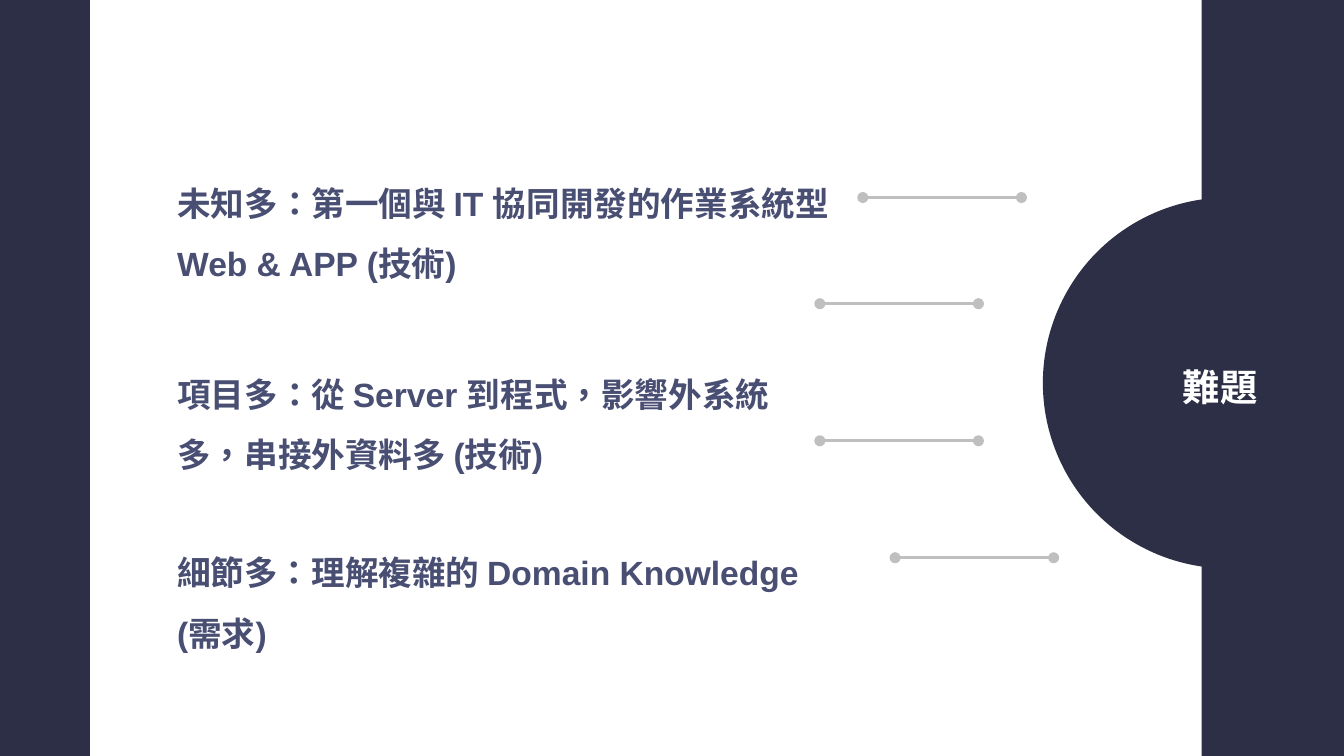
from pptx import Presentation
from pptx.dml.color import RGBColor
from pptx.enum.lang import MSO_LANGUAGE_ID
from pptx.enum.shapes import MSO_CONNECTOR, MSO_SHAPE
from pptx.enum.text import MSO_ANCHOR, MSO_AUTO_SIZE, PP_ALIGN
from pptx.oxml.ns import qn
from pptx.util import Inches, Pt
from lxml.etree import SubElement

NAVY = RGBColor(0x2C, 0x2F, 0x45)
INDIGO = RGBColor(0x49, 0x4E, 0x73)
GREY = RGBColor(0xBF, 0xBF, 0xBF)
WHITE = RGBColor(0xFF, 0xFF, 0xFF)

SLIDE_WIDTH = 10
SLIDE_HEIGHT = SLIDE_WIDTH * 9 / 16
MARKER_LENGTH = 1.18
ISSUE_LEFT, ISSUE_HEIGHT = 1.22, 1.01

FRAME_FORMAT = {
    "word_wrap": True,
    "auto_size": MSO_AUTO_SIZE.SHAPE_TO_FIT_TEXT,
    "vertical_anchor": MSO_ANCHOR.TOP,
}
BASE_FONT = {
    "name": "Arial",
    "bold": True,
    "language_id": MSO_LANGUAGE_ID.TRADITIONAL_CHINESE,
}
TOPIC_FONT = {**BASE_FONT, "size": Pt(20)}
ISSUE_FONT = {**BASE_FONT, "size": Pt(18)}

PANELS = [
    (MSO_SHAPE.RECTANGLE, 0, 0, 0.67, SLIDE_HEIGHT),
    (MSO_SHAPE.RECTANGLE, 8.94, 0, 1.06, SLIDE_HEIGHT),
    (MSO_SHAPE.OVAL, 7.76, 1.47, 2.76, 2.76),
]
MARKERS = [(7.6, 1.47), (7.28, 2.26), (7.28, 3.28), (7.84, 4.15)]
ISSUES = [
    (1.16, 5.12, "未知多：第一個與 IT 協同開發的作業系統型 Web & APP (技術)"),
    (2.58, 4.65, "項目多：從 Server 到程式，影響外系統多，串接外資料多 (技術)"),
    (3.91, 5.04, "細節多：理解複雜的 Domain Knowledge (需求)"),
]


def apply_format(target, values):
    for attribute, value in values.items():
        setattr(target, attribute, value)


def add_panel(slide, outline, left, top, width, height):
    panel = slide.shapes.add_shape(
        outline, Inches(left), Inches(top), Inches(width), Inches(height)
    )
    panel.shadow.inherit = False
    panel.fill.solid()
    panel.fill.fore_color.rgb = NAVY
    panel.line.fill.background()


def write_text(holder, wording, font_format, color, line_spacing):
    frame = holder.text_frame
    frame.text = wording
    apply_format(frame, FRAME_FORMAT)
    paragraph = frame.paragraphs[0]
    apply_format(
        paragraph, {"alignment": PP_ALIGN.LEFT, "line_spacing": line_spacing}
    )
    font = paragraph.runs[0].font
    apply_format(font, font_format)
    font.color.rgb = color


def place_topic(slide):
    topic = slide.shapes.title
    bounds = {"left": 8.7, "top": 2.66, "width": 1.02, "height": 0.44}
    apply_format(topic, {side: Inches(value) for side, value in bounds.items()})
    write_text(topic, "難題", TOPIC_FONT, WHITE, 1.0)
    topic.element.getparent().append(topic.element)


def add_marker(slide, right, level):
    marker = slide.shapes.add_connector(
        MSO_CONNECTOR.STRAIGHT,
        Inches(right), Inches(level), Inches(right - MARKER_LENGTH), Inches(level),
    )
    marker.line.color.rgb = GREY
    marker.line.width = Pt(1.5)
    stroke = marker.element.spPr.find(qn("a:ln"))
    for end in ("a:headEnd", "a:tailEnd"):
        SubElement(stroke, qn(end), type="oval")
    SubElement(marker.element.spPr, qn("a:effectLst"))


def add_issue(slide, top, width, wording):
    issue = slide.shapes.add_textbox(
        Inches(ISSUE_LEFT), Inches(top), Inches(width), Inches(ISSUE_HEIGHT)
    )
    write_text(issue, wording, ISSUE_FONT, INDIGO, 1.5)


def main():
    deck = Presentation()
    deck.slide_width = Inches(SLIDE_WIDTH)
    deck.slide_height = Inches(SLIDE_HEIGHT)
    slide = deck.slides.add_slide(deck.slide_layouts.get_by_name("Title Only"))
    for panel in PANELS:
        add_panel(slide, *panel)
    place_topic(slide)
    for marker in MARKERS:
        add_marker(slide, *marker)
    for issue in ISSUES:
        add_issue(slide, *issue)
    deck.save("out.pptx")


if __name__ == "__main__":
    main()
